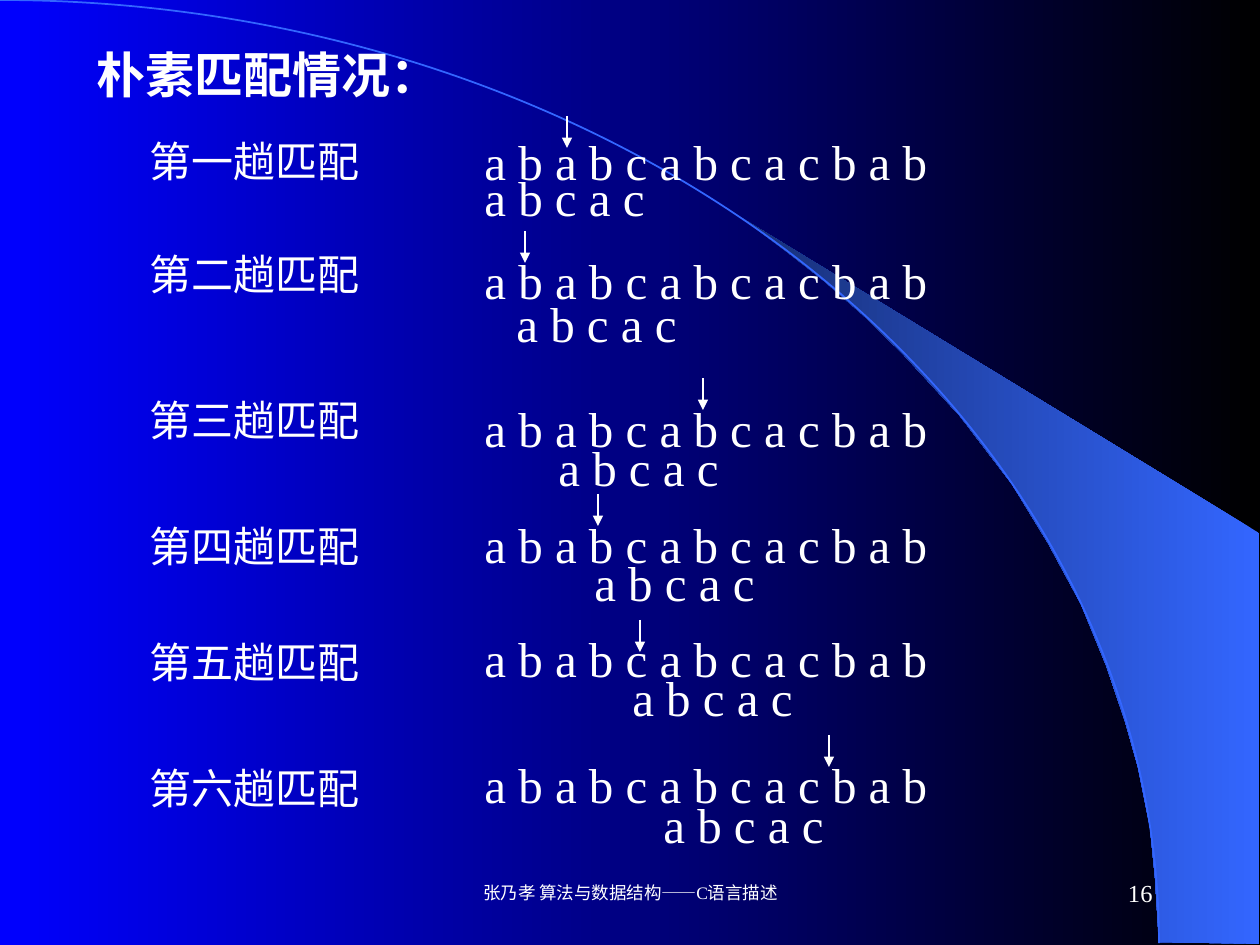
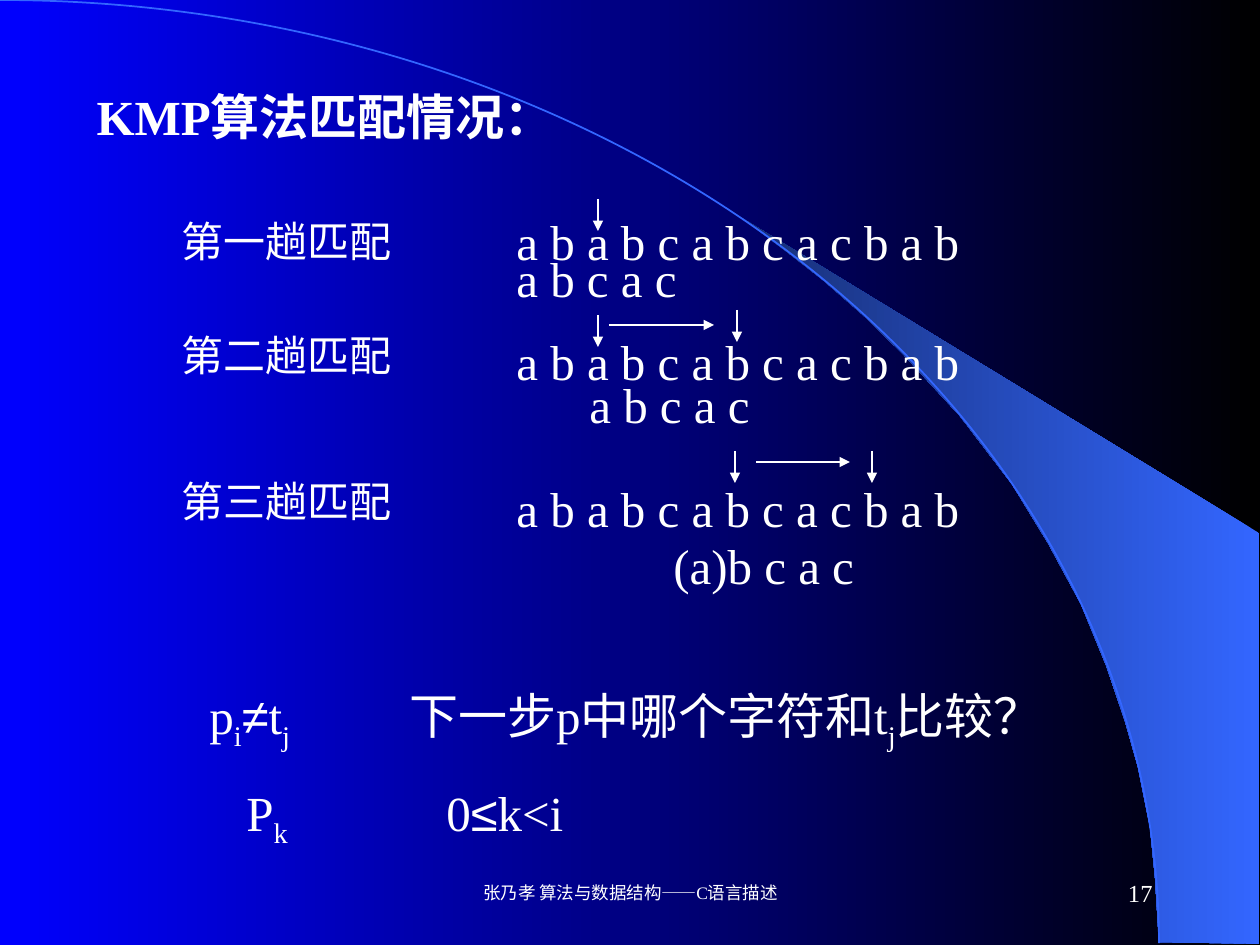
from lxml import etree
from pptx import Presentation
from pptx.dml.color import RGBColor
from pptx.enum.shapes import MSO_CONNECTOR, MSO_SHAPE
from pptx.enum.text import MSO_ANCHOR, MSO_AUTO_SIZE, PP_ALIGN
from pptx.oxml.ns import qn
from pptx.util import Pt

LEFT, MID, RIGHT = PP_ALIGN.LEFT, PP_ALIGN.CENTER, PP_ALIGN.RIGHT
TOP, CENTRE = MSO_ANCHOR.TOP, MSO_ANCHOR.MIDDLE
GROW, FIXED = MSO_AUTO_SIZE.SHAPE_TO_FIT_TEXT, MSO_AUTO_SIZE.NONE
LINE, ARC = MSO_CONNECTOR.STRAIGHT, MSO_SHAPE.ARC

SCALE = 914400 / 126
WIDE, HIGH = 1260, 945
COLORS = {"text": "FFFFFF", "black": "000000", "blue": "0000FF",
          "edge": "3366FF", "deep": "172F75"}
FONT, SIGN = "Times New Roman", "Arial"
TARGET, PATTERN = "a b a b c a b c a c b a b", "a b c a c"
LOW = {"base": -25000}

BAND = [(1159, 942), (1259, 944), (1259, 533), (742, 218), (786, 251),
        (823, 280), (863, 315), (902, 353), (960, 416), (1012, 484),
        (1048, 543), (1081, 604), (1106, 665), (1125, 721), (1138, 767),
        (1150, 827), (1155, 877)]

# label, top, label dy, pattern, pattern dx, pattern dy, arrows (dx, dy[, length])
NAIVE = [
    ("第一趟匹配", 125, 4, PATTERN, 0, 36, [(95, -9)]),
    ("第二趟匹配", 244, -2, PATTERN, 32, 43, [(53, -13)]),
    ("第三趟匹配", 392, -4, PATTERN, 74, 39, [(231, -14)]),
    ("第四趟匹配", 508, 6, PATTERN, 110, 38, [(126, -14)]),
    ("第五趟匹配", 622, 8, PATTERN, 148, 39, [(168, -2)]),
    ("第六趟匹配", 748, 8, PATTERN, 179, 40, [(357, -13)]),
]
KMP = [
    ("第一趟匹配", 205, 4, PATTERN, 0, 37, [(94, -6)]),
    ("第二趟匹配", 325, -2, PATTERN, 73, 43,
     [(94, -10), (105, 0, 105), (233, -15)]),
    ("第三趟匹配", 472, -3, "(a)b c a c", 157, 57,
     [(231, -21), (252, -10, 94), (368, -21)]),
]
ASK = [
    [("\tp", {}), ("i", LOW), ("≠", {"font": SIGN}), ("t", {}), ("j", LOW),
     ("\t下一步p中哪个字符和t", {}), ("j", LOW), ("比较？", {})],
    [("\tP", {}), ("k", LOW), ("\t0", {}), ("≤", {"font": SIGN}), ("k<i", {})],
]


def px(n):
    return round(n * SCALE)


def rgb(name):
    return RGBColor.from_string(COLORS[name])


def write(shape, text, size=28, bold=False, align=LEFT, anchor=TOP,
          fit=FIXED, wrap=True, before=0, tabs=()):
    frame = shape.text_frame
    frame.word_wrap, frame.auto_size = wrap, fit
    frame.vertical_anchor = anchor
    lines = [[(text, {})]] if isinstance(text, str) else text
    for i, line in enumerate(lines):
        para = frame.add_paragraph() if i else frame.paragraphs[0]
        para.alignment, para.space_before = align, Pt(before)
        if tabs:
            stops = etree.SubElement(para._p.get_or_add_pPr(), qn("a:tabLst"))
            for stop in tabs[i]:
                etree.SubElement(stops, qn("a:tab"), pos=str(px(stop)), algn="l")
        for part, form in line:
            run = para.add_run()
            run.text = part
            run.font.name = form.get("font", FONT)
            run.font.size, run.font.bold = Pt(size), bold
            run.font.color.rgb = rgb("text")
            if "base" in form:
                run._r.get_or_add_rPr().set("baseline", str(form["base"]))


def label(slide, text, x, y, w, h, **form):
    write(slide.shapes.add_textbox(px(x), px(y), px(w), px(h)), text, **form)


def blend(fill, start, end):
    fill.gradient()
    fill.gradient_angle = 180
    for stop, name in zip(fill.gradient_stops, (start, end)):
        stop.color.rgb = rgb(name)


def decor(deck, slide):
    master = deck.slide_master
    blend(master.background.fill, "black", "blue")
    first, *rest = [(px(x), px(y)) for x, y in BAND]
    pen = slide.shapes.build_freeform(*first)
    pen.add_line_segments(rest)
    band = pen.convert_to_shape()
    blend(band.fill, "edge", "deep")
    band.line.fill.background()
    arc = slide.shapes.add_shape(ARC, px(-1159), 0, px(2318), px(1886))
    arc.fill.background()
    arc.line.color.rgb, arc.line.width = rgb("edge"), Pt(1)
    for i, shape in enumerate((band, arc)):
        shape.shadow.inherit = False
        shape.element.nvSpPr.cNvPr.set("id", str(20 + i))
        master.shapes.element.append(shape.element)


def arrow(slide, x, y, w, h):
    link = slide.shapes.add_connector(LINE, px(x), px(y), px(x + w), px(y + h))
    link.line.color.rgb, link.line.width = rgb("text"), Pt(0.75)
    props = link.element.spPr
    etree.SubElement(props.find(qn("a:ln")), qn("a:tailEnd"), type="triangle")
    etree.SubElement(props, qn("a:effectLst"))


def match(slide, x, row):
    name, y, drop, word, dx, dy, marks = row
    form = {"fit": GROW, "wrap": False}
    label(slide, name, x - 335, y + drop, 237, 63, size=24, **form)
    label(slide, TARGET, x, y, 470, 72, **form)
    label(slide, word, x + dx, y + dy, 188 if word == PATTERN else 208, 72, **form)
    for mx, my, *span in marks:
        w, h = (span[0], 0) if span else (0, 32)
        arrow(slide, x + mx, y + my, w, h)


def page(deck, title, box, number, x, rows):
    slide = deck.slides.add_slide(deck.slide_layouts[5])
    head = slide.shapes.title
    head.left, head.top, head.width, head.height = map(px, box)
    write(head, title, bold=True, anchor=CENTRE)
    for row in rows:
        match(slide, x, row)
    label(slide, "张乃孝 算法与数据结构——C语言描述", 431, 861, 399, 63,
          size=10, align=MID, anchor=CENTRE)
    label(slide, str(number), 903, 861, 262, 63,
          size=14, align=RIGHT, anchor=CENTRE)
    return slide


def main():
    deck = Presentation()
    deck.slide_width, deck.slide_height = px(WIDE), px(HIGH)
    first = page(deck, "朴素匹配情况：", (84, 21, 599, 105), 16, 472, NAIVE)
    decor(deck, first)
    second = page(deck, "KMP算法匹配情况：", (84, 63, 1071, 105), 17, 504, KMP)
    label(second, ASK, 136, 679, 987, 178, fit=GROW, before=17.5,
          tabs=((61, 261), (98, 298)))
    deck.save("out.pptx")


if __name__ == "__main__":
    main()
